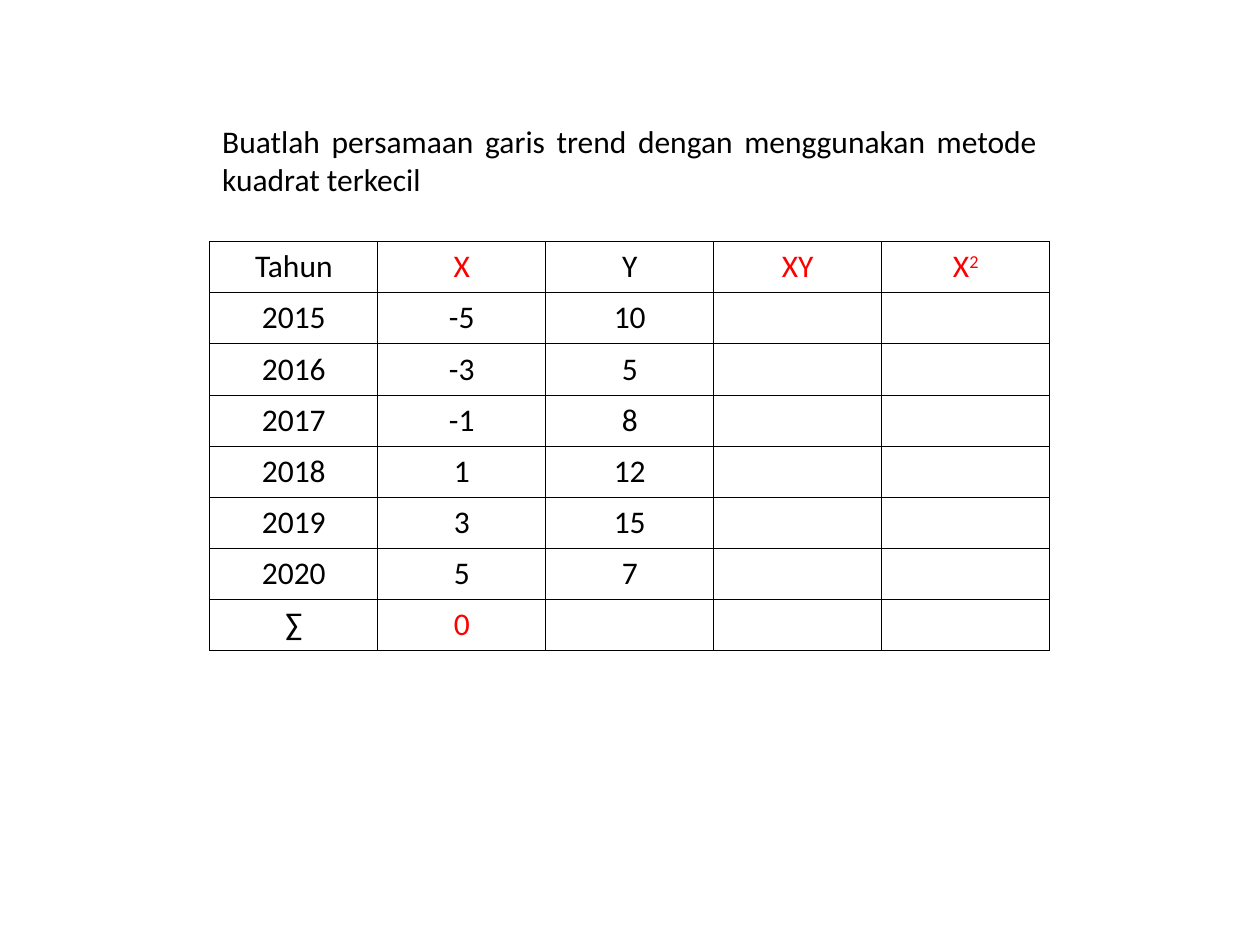
from lxml import etree
from pptx import Presentation
from pptx.dml.color import RGBColor
from pptx.enum.text import MSO_AUTO_SIZE, PP_ALIGN
from pptx.oxml.ns import qn
from pptx.util import Cm, Pt

CENTER, JUSTIFY = PP_ALIGN.CENTER, PP_ALIGN.JUSTIFY
FIT_SHAPE = MSO_AUTO_SIZE.SHAPE_TO_FIT_TEXT
BLANK_LAYOUT = 6
FONT, FONT_SIZE = "Calibri", Pt(18)
BLACK, RED, WHITE = "000000", "FF0000", "FFFFFF"
LEFT, WIDTH = Cm(4.23), Cm(16.93)
ROW_HEIGHT = Cm(1.03)
BORDER_WIDTH = Pt(0.45)
QUESTION = "Buatlah persamaan garis trend dengan menggunakan metode kuadrat terkecil"
HEADER = ["Tahun", "X", "Y", "XY", "X"]
OBSERVATIONS = [
    (2015, -5, 10),
    (2016, -3, 5),
    (2017, -1, 8),
    (2018, 1, 12),
    (2019, 3, 15),
    (2020, 5, 7),
]
TOTALS = ["∑", "0", "", "", ""]
RED_CELLS = {(0, 1), (0, 3), (0, 4), (len(OBSERVATIONS) + 1, 1)}


def color(value):
    """Turn a hex string into a colour."""
    return RGBColor.from_string(value)


def add_run(paragraph, text, text_color=BLACK):
    """Append a formatted run to a paragraph."""
    run = paragraph.add_run()
    run.text = text
    run.font.name = FONT
    run.font.size = FONT_SIZE
    run.font.bold = False
    run.font.color.rgb = color(text_color)
    return run


def add_question(slide):
    """Add the justified task text above the table."""
    shape = slide.shapes.add_textbox(LEFT, Cm(2.33), WIDTH, Cm(1.78))
    frame = shape.text_frame
    frame.word_wrap = True
    frame.auto_size = FIT_SHAPE
    paragraph = frame.paragraphs[0]
    paragraph.alignment = JUSTIFY
    add_run(paragraph, QUESTION)


def set_borders(cell):
    """Draw thin black lines on the four sides of a cell."""
    properties = cell._tc.get_or_add_tcPr()
    for position, side in enumerate(("a:lnL", "a:lnR", "a:lnT", "a:lnB")):
        line = etree.Element(qn(side), w=str(BORDER_WIDTH))
        fill = etree.SubElement(line, qn("a:solidFill"))
        etree.SubElement(fill, qn("a:srgbClr"), val=BLACK)
        properties.insert(position, line)


def fill_cell(cell, text, text_color):
    """Format a cell and write its centred text."""
    cell.fill.solid()
    cell.fill.fore_color.rgb = color(WHITE)
    set_borders(cell)
    paragraph = cell.text_frame.paragraphs[0]
    paragraph.alignment = CENTER
    paragraph.font.size = FONT_SIZE
    if text:
        add_run(paragraph, text, text_color)


def add_trend_table(slide):
    """Add the table of years, X and Y with empty columns to work out."""
    years = [[str(value) for value in row] + ["", ""] for row in OBSERVATIONS]
    rows = [HEADER, *years, TOTALS]
    table = slide.shapes.add_table(
        len(rows), len(HEADER), LEFT, Cm(4.87), WIDTH, ROW_HEIGHT * len(rows)
    ).table
    table.first_row = False
    table.horz_banding = False
    for row_index, row in enumerate(rows):
        table.rows[row_index].height = ROW_HEIGHT
        for column_index, text in enumerate(row):
            text_color = RED if (row_index, column_index) in RED_CELLS else BLACK
            fill_cell(table.cell(row_index, column_index), text, text_color)
    square = table.cell(0, len(HEADER) - 1).text_frame.paragraphs[0]
    exponent = add_run(square, "2", RED)
    exponent.font._element.set("baseline", "30000")


def main():
    """Build and save the presentation."""
    presentation = Presentation()
    presentation.slide_width = Cm(25.4)
    presentation.slide_height = Cm(19.05)
    slide = presentation.slides.add_slide(presentation.slide_layouts[BLANK_LAYOUT])
    add_trend_table(slide)
    add_question(slide)
    presentation.save("out.pptx")


if __name__ == "__main__":
    main()
